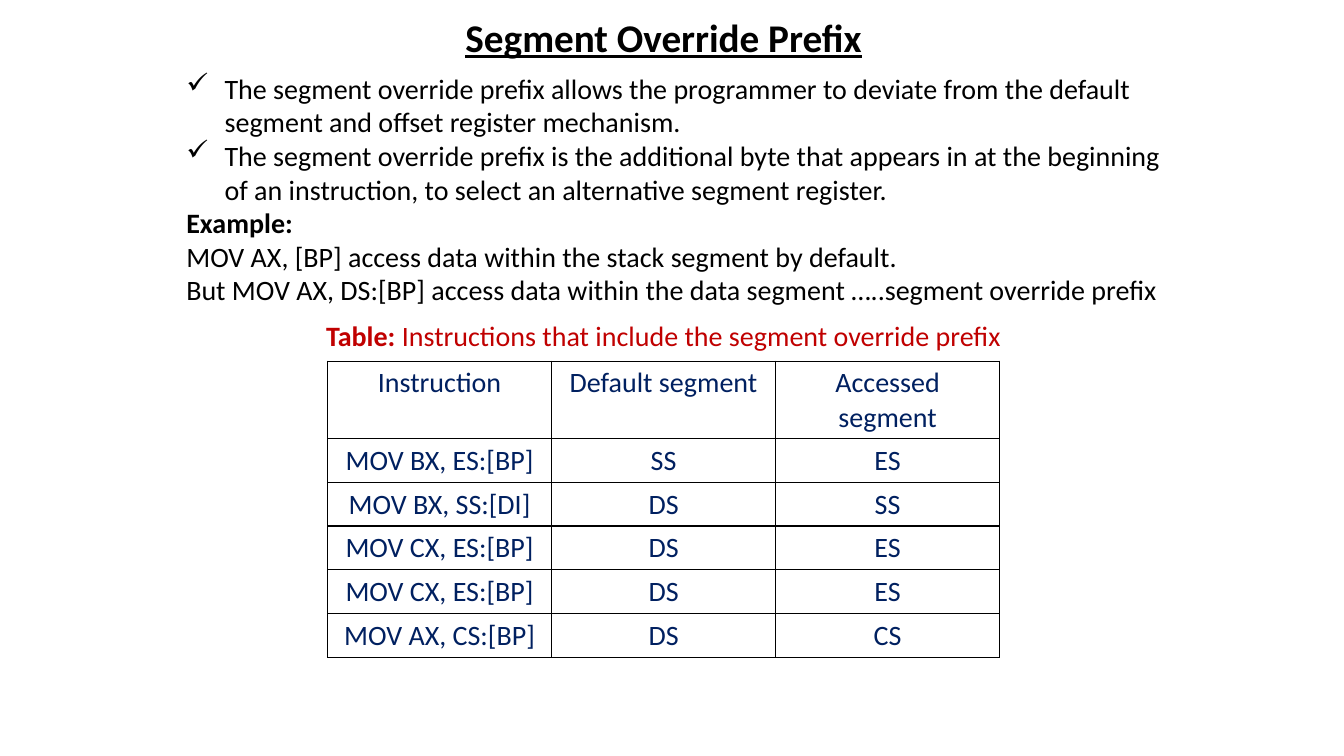
from lxml import etree
from pptx import Presentation
from pptx import util as u
from pptx.dml.color import RGBColor
from pptx.enum import text
from pptx.oxml import ns

COLS, ROWS = 160, 90
BLACK, RED, NAVY = "000000", "C00000", "002060"
CENTER = text.PP_ALIGN.CENTER


def rgb(hex_color):
    return RGBColor.from_string(hex_color)


def add_xml(parent, tag, **attrs):
    return etree.SubElement(parent, ns.qn(tag), attrs)


class SlideBuilder:
    """Holds the style and the slide; boxes are (column, row, width, height) in grid units."""

    font, size, indent = "Calibri", 20, u.Inches(0.38)

    def __init__(self, prs):
        self.cell_w = prs.slide_width / COLS
        self.cell_h = prs.slide_height / ROWS
        self.s = prs.slides.add_slide(prs.slide_layouts[5])

    def place(self, box):
        units = (self.cell_w, self.cell_h) * 2
        return [round(n * unit) for n, unit in zip(box, units)]

    def add_runs(self, p, runs, color, align=None, **extra):
        """Fills a paragraph with (wording, bold) runs."""
        p.alignment = align
        for wording, bold in runs:
            r = p.add_run()
            r.text = wording
            style = dict(name=self.font, size=u.Pt(self.size), bold=bold) | extra
            for key, value in style.items():
                setattr(r.font, key, value)
            r.font.color.rgb = rgb(color)

    def frame(self, sp):
        tf = sp.text_frame
        style = dict(word_wrap=True, vertical_anchor=text.MSO_ANCHOR.TOP,
                     auto_size=text.MSO_AUTO_SIZE.SHAPE_TO_FIT_TEXT)
        for key, value in style.items():
            setattr(tf, key, value)
        return tf

    def title(self, box, wording):
        sp = self.s.shapes.title
        for key, value in zip(("left", "top", "width", "height"), self.place(box)):
            setattr(sp, key, value)
        p = self.frame(sp).paragraphs[0]
        self.add_runs(p, [(wording, True)], BLACK, CENTER, size=u.Pt(28), underline=True)

    def text_box(self, box, paragraphs, color=BLACK, align=None):
        """Takes paragraphs as (bullet or None, runs)."""
        tf = self.frame(self.s.shapes.add_textbox(*self.place(box)))
        for i, (bullet, runs) in enumerate(paragraphs):
            p = tf.add_paragraph() if i else tf.paragraphs[0]
            if bullet:
                self.bullet(p, bullet)
            self.add_runs(p, runs, color, align)

    def bullet(self, p, char):
        pPr = p._p.get_or_add_pPr()
        pPr.set("marL", str(self.indent))
        pPr.set("indent", str(-self.indent))
        add_xml(pPr, "a:buChar", char=char)

    def table(self, box, rows):
        shape = self.s.shapes.add_table(len(rows), len(rows[0]), *self.place(box))
        table = shape.table
        table.first_row = table.horz_banding = False
        for row in table.rows:
            row.height = round(5 * self.cell_h)
        for i, row in enumerate(rows):
            for j, wording in enumerate(row):
                cell = table.cell(i, j)
                p = cell.text_frame.paragraphs[0]
                self.add_runs(p, [(wording, False)], NAVY, CENTER)
                self.borders(cell)
                cell.fill.background()

    def borders(self, cell):
        tcPr = cell._tc.get_or_add_tcPr()
        for side in "LRTB":
            ln = add_xml(tcPr, f"a:ln{side}", w=str(u.Pt(1)))
            add_xml(add_xml(ln, "a:solidFill"), "a:srgbClr", val=BLACK)


def main():
    prs = Presentation()
    prs.slide_width, prs.slide_height = u.Inches(13.33), u.Inches(7.5)
    slide = SlideBuilder(prs)
    slide.title((23, 1, 112, 6.8), "Segment Override Prefix")
    slide.text_box((21, 7.9, 119, 29.5), [
        ("✓", [("The segment override prefix allows the programmer to deviate from "
                "the default segment and offset register mechanism.", False)]),
        ("✓", [("The segment override prefix is the additional byte that appears in at "
                "the beginning of an instruction, to select an alternative segment "
                "register.", False)]),
        (None, [("Example:", True)]),
        (None, [("MOV AX, [BP] access data within the stack segment by default.", False)]),
        (None, [("But MOV AX, DS:[BP] access data within the data segment "
                 "…..segment override prefix", False)]),
    ])
    slide.table((39, 43, 80, 30), [
        ("Instruction", "Default segment", "Accessed segment"),
        ("MOV BX, ES:[BP]", "SS", "ES"),
        ("MOV BX, SS:[DI]", "DS", "SS"),
        ("MOV CX, ES:[BP]", "DS", "ES"),
        ("MOV CX, ES:[BP]", "DS", "ES"),
        ("MOV AX, CS:[BP]", "DS", "CS"),
    ])
    slide.text_box((37, 37.3, 84, 5.25), [
        (None, [("Table: ", True),
                ("Instructions that include the segment override prefix", False)]),
    ], RED, CENTER)
    prs.save("out.pptx")


if __name__ == "__main__":
    main()
